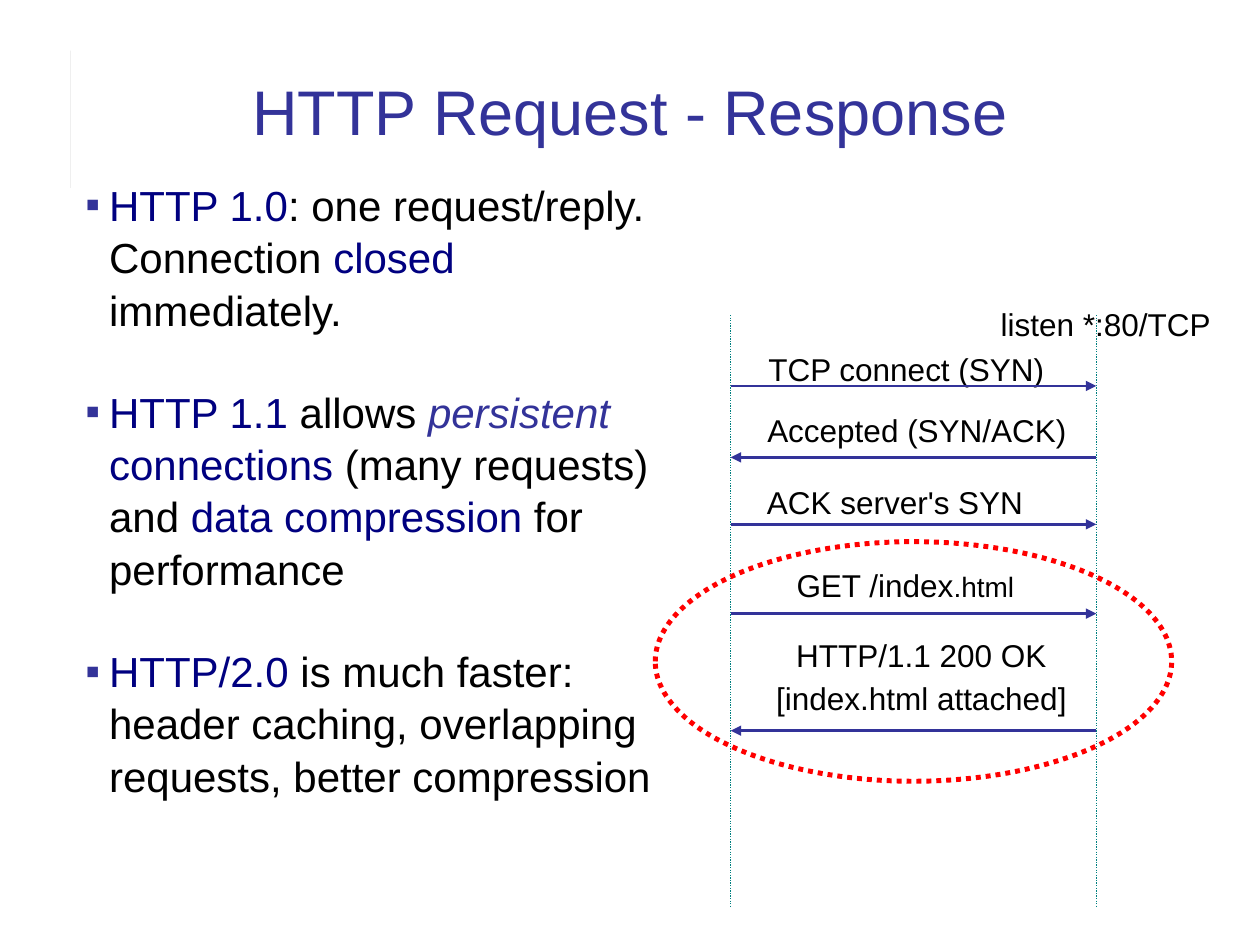
from lxml import etree
from pptx import Presentation
from pptx.dml.color import RGBColor
from pptx.enum.dml import MSO_LINE
from pptx.enum.shapes import MSO_CONNECTOR, MSO_SHAPE
from pptx.enum.text import MSO_ANCHOR, PP_ALIGN
from pptx.oxml.ns import qn
from pptx.util import Cm, Pt

DOT = MSO_LINE.ROUND_DOT
STRAIGHT = MSO_CONNECTOR.STRAIGHT
LEFT, CENTER = PP_ALIGN.LEFT, PP_ALIGN.CENTER
TOP, BOTTOM = MSO_ANCHOR.TOP, MSO_ANCHOR.BOTTOM
FONT = "Arial"
COLORS = {
    "title": "333399",
    "key": "000080",
    "text": "000000",
    "lifeline": "008080",
    "ring": "FF0000",
    "rule": "808080",
}

prs = Presentation()
prs.slide_width, prs.slide_height = Cm(25.4), Cm(19.05)
s = prs.slides.add_slide(prs.slide_layouts[6])


def add_text(box, paragraphs, size, align=LEFT, anchor=TOP, spacing=1.04, gap=0, bullet=None):
    sp = s.shapes.add_textbox(*[Cm(v) for v in box])
    tf = sp.text_frame
    tf.word_wrap = True
    tf.vertical_anchor = anchor
    for i, runs in enumerate(paragraphs):
        p = tf.paragraphs[0] if i == 0 else tf.add_paragraph()
        if bullet:
            pPr = p._p.get_or_add_pPr()
            pPr.set("marL", str(Cm(0.48)))
            pPr.set("indent", str(-Cm(0.48)))
            clr = etree.SubElement(pPr, qn("a:buClr"))
            etree.SubElement(clr, qn("a:srgbClr"), val=COLORS["title"])
            etree.SubElement(pPr, qn("a:buFont"), typeface=FONT)
            etree.SubElement(pPr, qn("a:buChar"), char=bullet)
        p.alignment = align
        p.line_spacing = spacing
        if i:
            p.space_before = Pt(gap)
        for text, color, *small in runs:
            r = p.add_run()
            r.text = text
            r.font.name = FONT
            r.font.size = Pt(small[0] if small else size)
            r.font.italic = text.startswith("persistent")
            r.font.color.rgb = RGBColor.from_string(COLORS[color])


def add_line(x1, y1, x2, y2, color, width, dash=None, arrow=False):
    c = s.shapes.add_connector(STRAIGHT, Cm(x1), Cm(y1), Cm(x2), Cm(y2))
    c.line.color.rgb = RGBColor.from_string(COLORS[color])
    c.line.width = Pt(width)
    if dash:
        c.line.dash_style = dash
    if arrow:
        etree.SubElement(c.line._get_or_add_ln(), qn("a:tailEnd"), type="triangle")
    etree.SubElement(c._element.spPr, qn("a:effectLst"))


rule = s.shapes.add_shape(MSO_SHAPE.RECTANGLE, Cm(1.42), Cm(1.02), Cm(0), Cm(2.77))
rule.shadow.inherit = False
rule.fill.solid()
rule.fill.fore_color.rgb = RGBColor.from_string(COLORS["rule"])
rule.line.fill.background()

add_text((1.7, 0.71, 22, 2.41), [[("HTTP Request - Response", "title")]],
         36, CENTER, BOTTOM, spacing=1)

points = [
    [("HTTP 1.0", "key"), (": one request/reply. Connection ", "text"),
     ("closed", "key"), (" immediately.", "text")],
    [("HTTP 1.1", "key"), (" allows ", "text"), ("persistent ", "title"),
     ("connections", "key"), (" (many requests) and ", "text"),
     ("data compression", "key"), (" for performance", "text")],
    [("HTTP/2.0", "key"),
     (" is much faster: header caching, overlapping requests, better compression", "text")],
]
add_text((1.47, 3.45, 12.5, 12.42), points, 24, gap=28.4, bullet="▪")

labels = [
    ((19.43, 5.99, 5.72, 1.02), CENTER, [[("listen *:80/TCP", "text")]]),
    ((15.24, 6.91, 6.15, 1.02), LEFT, [[("TCP connect (SYN)", "text")]]),
    ((14.8, 8.13, 7.37, 1.02), CENTER, [[("Accepted (SYN/ACK)", "text")]]),
    ((15.21, 9.58, 6.15, 1.02), LEFT, [[("ACK server's SYN", "text")]]),
    ((14.4, 11.25, 7.7, 1.02), CENTER, [[("GET /index", "text"), (".html", "text", 16)]]),
    ((14.55, 12.67, 8.05, 1.85), CENTER,
     [[("HTTP/1.1 200 OK", "text")], [("[index.html attached]", "text")]]),
]
for box, align, paragraphs in labels:
    add_text(box, paragraphs, 18, align, gap=2.2)

client, server = 14.73, 22.1
for x in (client, server):
    add_line(x, 6.35, x, 18.29, "lifeline", 0.75, dash=DOT)

for y, start, end in [
    (7.78, client, server),
    (9.22, server, client),
    (10.57, client, server),
    (12.37, client, server),
    (14.73, server, client),
]:
    add_line(start, y, end, y, "title", 1.5, arrow=True)

ring = s.shapes.add_shape(MSO_SHAPE.OVAL, Cm(13.21), Cm(10.92), Cm(10.41), Cm(4.83))
ring.shadow.inherit = False
ring.fill.background()
ring.line.color.rgb = RGBColor.from_string(COLORS["ring"])
ring.line.width = Pt(2.83)
ring.line.dash_style = DOT

prs.save("out.pptx")
